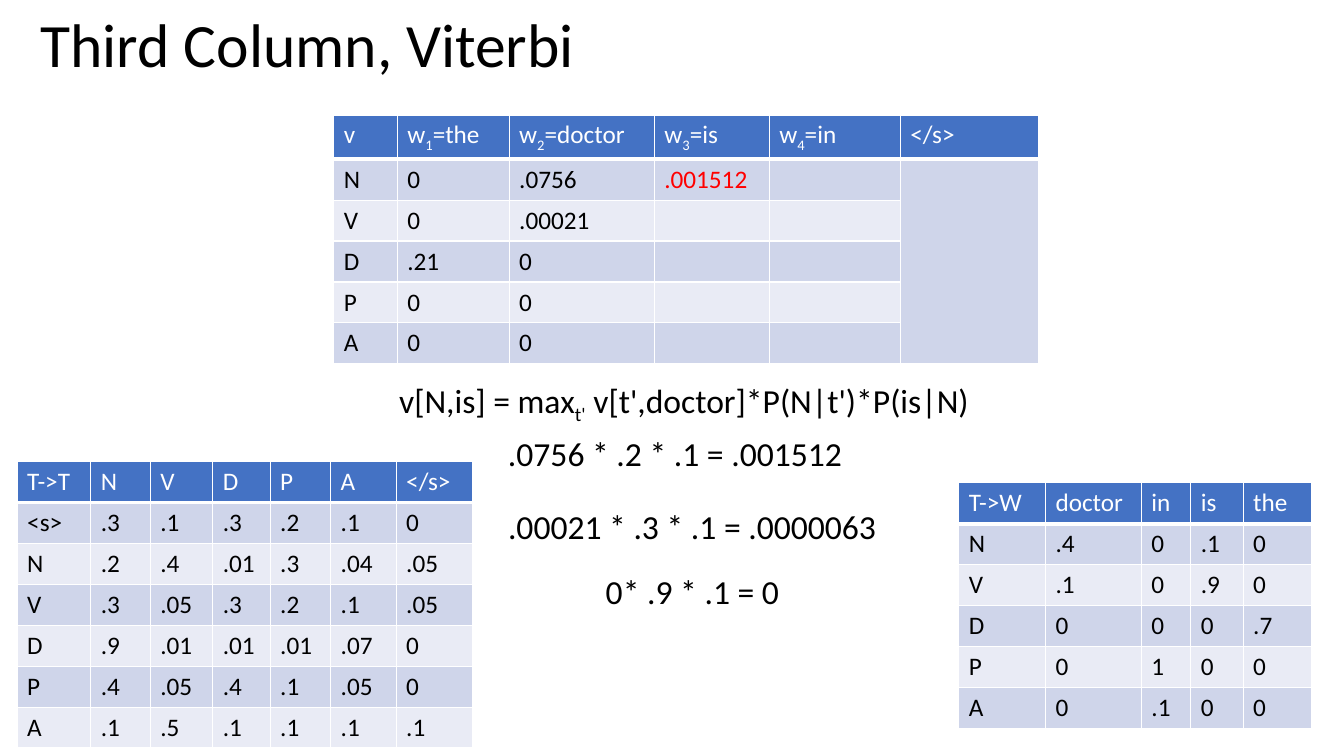
from lxml import etree
from pptx import Presentation
from pptx import util as u
from pptx.dml.color import RGBColor
from pptx.enum import text
from pptx.oxml import ns

# Content: pieces between "~" marks are subscripts
TITLE = "Third Column, Viterbi"
VITERBI = [
    ["v", "w~1~=the", "w~2~=doctor", "w~3~=is", "w~4~=in", "</s>"],
    ["N", "0", ".0756", ".001512", "", ""],
    ["V", "0", ".00021", "", "", ""],
    ["D", ".21", "0", "", "", ""],
    ["P", "0", "0", "", "", ""],
    ["A", "0", "0", "", "", ""],
]
TRANSITIONS = [
    ["T->T", "N", "V", "D", "P", "A", "</s>"],
    ["<s>", ".3", ".1", ".3", ".2", ".1", "0"],
    ["N", ".2", ".4", ".01", ".3", ".04", ".05"],
    ["V", ".3", ".05", ".3", ".2", ".1", ".05"],
    ["D", ".9", ".01", ".01", ".01", ".07", "0"],
    ["P", ".4", ".05", ".4", ".1", ".05", "0"],
    ["A", ".1", ".5", ".1", ".1", ".1", ".1"],
]
EMISSIONS = [
    ["T->W", "doctor", "in", "is", "the"],
    ["N", ".4", "0", ".1", "0"],
    ["V", ".1", "0", ".9", "0"],
    ["D", "0", "0", "0", ".7"],
    ["P", "0", "1", "0", "0"],
    ["A", "0", ".1", "0", "0"],
]
# Left, top, column widths, rows
TABLES = {
    "transitions": (0.17, 4.58, [0.73, 0.59, 0.62, 0.57, 0.6, 0.65, 0.76], TRANSITIONS),
    "viterbi": (3.31, 1.14, [0.63, 1.11, 1.44, 1.14, 1.3, 1.37], VITERBI),
    "emissions": (9.51, 4.79, [0.86, 0.95, 0.49, 0.52, 0.68], EMISSIONS),
}
# Left, top, width, text
FORMULAS = [
    (3.86, 3.72, 5.89, "v[N,is] = max~t'~ v[t',doctor]*P(N|t')*P(is|N)"),
    (4.94, 4.25, 3.54, ".0756 * .2 * .1 = .001512"),
    (4.94, 4.97, 3.88, ".00021 * .3 * .1 = .0000063"),
    (5.91, 5.61, 1.93, "0* .9 * .1 = 0"),
]
NEW_VALUE = ".001512"
COLORS = {"header": "4472C4", "odd": "CFD5EA", "even": "E9EBF5",
          "light": "FFFFFF", "dark": "000000", "new": "FF0000"}
FONT = "Calibri"
ROW_HEIGHT = 0.406


def color(name):
    return RGBColor.from_string(COLORS[name])


def write(para, content, size, shade):
    for index, piece in enumerate(content.split("~")):
        span = para.add_run()
        span.text = piece
        if index % 2:
            span._r.get_or_add_rPr().set("baseline", "-25000")
    para.font.name = FONT
    para.font.size = u.Pt(size)
    para.font.color.rgb = color(shade)


def add_borders(cell, bottom):
    properties = cell._tc.get_or_add_tcPr()
    for index, (side, width) in enumerate(zip("LRTB", (1, 1, 1, bottom))):
        line = etree.Element(ns.qn(f"a:ln{side}"), w=str(u.Pt(width)))
        fill = etree.SubElement(line, ns.qn("a:solidFill"))
        etree.SubElement(fill, ns.qn("a:srgbClr"), val=COLORS["light"])
        properties.insert(index, line)


def add_grid(page, left, top, widths, rows):
    frame = page.shapes.add_table(
        len(rows), len(widths), u.Inches(left), u.Inches(top),
        u.Inches(sum(widths)), u.Inches(ROW_HEIGHT * len(rows)))
    table = frame.table
    table.first_row = table.horz_banding = False
    for column, width in zip(table.columns, widths):
        column.width = u.Inches(width)
    for r, row in enumerate(rows):
        table.rows[r].height = u.Inches(ROW_HEIGHT)
        band = "header" if r == 0 else "odd" if r % 2 else "even"
        for c, content in enumerate(row):
            cell = table.cell(r, c)
            cell.fill.solid()
            cell.fill.fore_color.rgb = color(band)
            add_borders(cell, 1 if r else 3)
            shade = "new" if content == NEW_VALUE else "dark" if r else "light"
            if content:
                write(cell.text_frame.paragraphs[0], content, 18, shade)
    return table


def main():
    deck = Presentation()
    deck.slide_width, deck.slide_height = u.Inches(13.33), u.Inches(7.5)
    page = deck.slides.add_slide(deck.slide_layouts[5])

    # Title
    title = page.shapes.title
    title.left, title.top = u.Inches(0.3), u.Inches(-0.25)
    title.width, title.height = u.Inches(11.5), u.Inches(1.45)
    title.text_frame.vertical_anchor = text.MSO_ANCHOR.MIDDLE
    para = title.text_frame.paragraphs[0]
    para.alignment = text.PP_ALIGN.LEFT
    para.line_spacing = 0.9
    write(para, TITLE, 44, "dark")

    # Tables, with the end-of-sentence column merged below its header
    grids = {name: add_grid(page, *layout) for name, layout in TABLES.items()}
    viterbi = grids["viterbi"]
    last_row, last_column = len(VITERBI) - 1, len(VITERBI[0]) - 1
    viterbi.cell(1, last_column).merge(viterbi.cell(last_row, last_column))

    # Worked formulas
    for left, top, width, content in FORMULAS:
        box = page.shapes.add_textbox(
            u.Inches(left), u.Inches(top), u.Inches(width), u.Inches(0.5))
        box.text_frame.word_wrap = False
        box.text_frame.auto_size = text.MSO_AUTO_SIZE.SHAPE_TO_FIT_TEXT
        write(box.text_frame.paragraphs[0], content, 24, "dark")

    deck.save("out.pptx")


if __name__ == "__main__":
    main()
